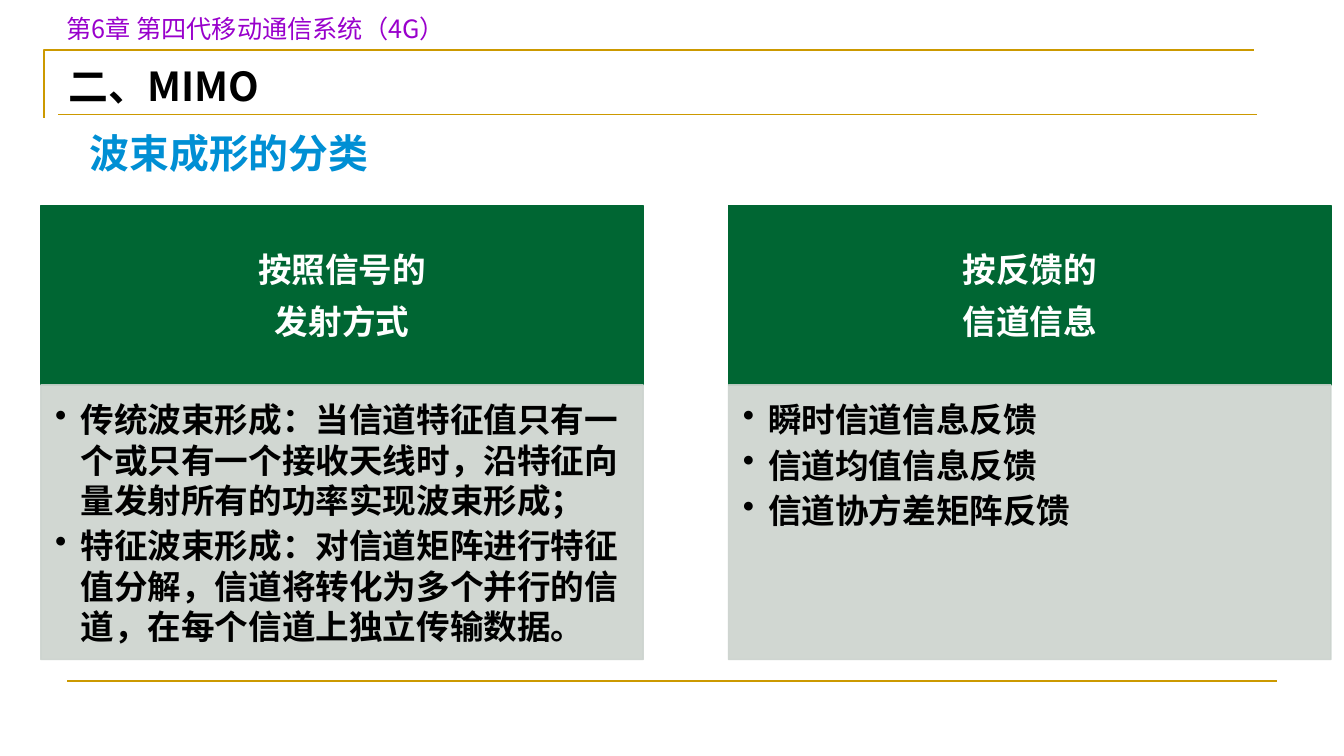
"""Slide on the classification of MIMO beamforming."""
from lxml.etree import SubElement
from pptx import Presentation
from pptx.dml.color import RGBColor
from pptx.enum.shapes import MSO_CONNECTOR, MSO_SHAPE
from pptx.enum.text import MSO_ANCHOR as ANCHOR, PP_ALIGN as ALIGN
from pptx.oxml.ns import qn
from pptx.util import Cm, Pt

CHAPTER = "第6章 第四代移动通信系统（4G）"
TITLE = "二、MIMO"
SUBTITLE = "波束成形的分类"
CARDS = [
    (["按照信号的", "发射方式"],
     ["传统波束形成：当信道特征值只有一个或只有一个接收天线时，沿特征向量发射所有的功率实现波束形成；",
      "特征波束形成：对信道矩阵进行特征值分解，信道将转化为多个并行的信道，在每个信道上独立传输数据。"]),
    (["按反馈的", "信道信息"],
     ["瞬时信道信息反馈", "信道均值信息反馈", "信道协方差矩阵反馈"]),
]

GOLD = RGBColor(0xCC, 0x99, 0x00)
PURPLE = RGBColor(0x99, 0x00, 0xCC)
BLUE = RGBColor(0x00, 0x8F, 0xD4)
GREEN = RGBColor(0x00, 0x66, 0x33)
GREY = RGBColor(0xCC, 0xD3, 0xCE)
BLACK = RGBColor(0, 0, 0)
WHITE = RGBColor(0xFF, 0xFF, 0xFF)

CARD_LEFT, CARD_TOP, CARD_STEP, CARD_WIDTH = 1.03, 5.18, 17.33, 15.18
HEAD_HEIGHT, BODY_HEIGHT = 4.52, 6.92

prs = Presentation()
prs.slide_width, prs.slide_height = Cm(33.87), Cm(19.05)
s = prs.slides.add_slide(prs.slide_layouts[6])


def write(sp, lines, size, font, color, bold=True, align=ALIGN.LEFT, after=0,
          spacing=None, bullet=False, anchor=ANCHOR.TOP, insets=(0.25, 0.13, 0.25, 0.13)):
    tf = sp.text_frame
    tf.word_wrap = True
    tf.vertical_anchor = anchor
    tf.margin_left, tf.margin_top, tf.margin_right, tf.margin_bottom = map(Cm, insets)
    for i, line in enumerate(lines):
        p = tf.add_paragraph() if i else tf.paragraphs[0]
        p.alignment = align
        p.space_after = Pt(after)
        if spacing:
            p.line_spacing = spacing
        if bullet:
            pPr = p._p.get_or_add_pPr()
            pPr.set("marL", str(Cm(0.64)))
            pPr.set("indent", str(-Cm(0.64)))
            SubElement(pPr, qn("a:buChar"), char="•")
        r = p.add_run()
        r.text = line
        r.font.size, r.font.name, r.font.bold = Pt(size), font, bold
        r.font.color.rgb = color
        SubElement(r._r.get_or_add_rPr(), qn("a:ea"), typeface=font)


def add_text(left, top, width, height, text, *style, **options):
    sp = s.shapes.add_textbox(Cm(left), Cm(top), Cm(width), Cm(height))
    write(sp, [text], *style, **options)


def add_rule(left, right, y, weight):
    sp = s.shapes.add_connector(MSO_CONNECTOR.STRAIGHT, Cm(left), Cm(y), Cm(right), Cm(y))
    sp.line.color.rgb, sp.line.width = GOLD, Pt(weight)
    SubElement(sp._element.spPr, qn("a:effectLst"))


def add_panel(left, top, height, color, opacity=100):
    sp = s.shapes.add_shape(MSO_SHAPE.RECTANGLE, Cm(left), Cm(top), Cm(CARD_WIDTH), Cm(height))
    sp.shadow.inherit = False
    sp.fill.solid()
    sp.fill.fore_color.rgb = color
    sp.line.color.rgb, sp.line.width = color, Pt(1)
    if opacity < 100:
        for clr in sp._element.spPr.iter(qn("a:srgbClr")):
            SubElement(clr, qn("a:alpha"), val=str(opacity * 1000))
    return sp


builder = s.shapes.build_freeform(Cm(1.12), Cm(2.97))
builder.add_line_segments([(Cm(1.12), Cm(1.27)), (Cm(31.6), Cm(1.27))], close=False)
frame = builder.convert_to_shape()
frame.shadow.inherit = False
frame.fill.background()
frame.line.color.rgb, frame.line.width = GOLD, Pt(1.5)

add_rule(1.7, 32.18, 17.15, 1.5)
add_text(1.42, 0.2, 14.68, 1.02, CHAPTER, 18, "Noto Sans CJK JP", PURPLE, bold=False)
add_text(1.47, 1.19, 22.35, 1.73, TITLE, 28.5, "Noto Sans CJK SC", BLACK, spacing=1.2)
add_rule(1.47, 31.67, 2.87, 0.25)
add_text(1.96, 2.77, 28.04, 2.13, SUBTITLE, 28.5, "Noto Sans CJK SC", BLUE,
         anchor=ANCHOR.MIDDLE, insets=(0.3, 0.15, 0.3, 0.15))

for i, (heading, points) in enumerate(CARDS):
    left = CARD_LEFT + i * CARD_STEP
    head = add_panel(left, CARD_TOP, HEAD_HEIGHT, GREEN)
    write(head, heading, 24, "Arial", WHITE, align=ALIGN.CENTER, after=8.4,
          anchor=ANCHOR.MIDDLE, insets=(0.48, 0.28, 0.48, 0.28))
    body = add_panel(left, CARD_TOP + HEAD_HEIGHT, BODY_HEIGHT, GREY, opacity=90)
    write(body, points, 24, "Arial", BLACK, after=3.6, bullet=True,
          insets=(0.36, 0.36, 0.48, 0.53))

prs.save("out.pptx")
